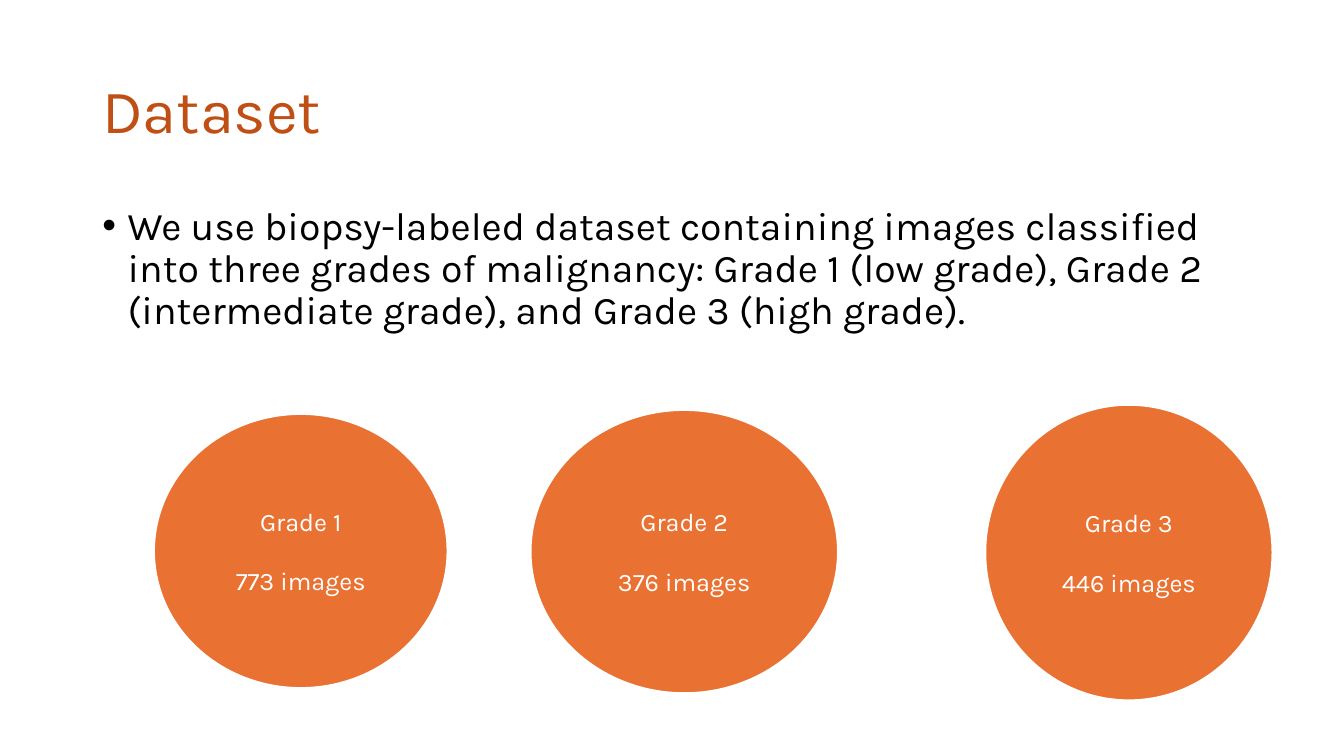
from dataclasses import dataclass

from lxml.etree import SubElement
from pptx import Presentation
from pptx.dml.color import RGBColor
from pptx.enum.shapes import MSO_SHAPE
from pptx.enum.text import MSO_ANCHOR, PP_ALIGN
from pptx.oxml.ns import qn
from pptx.util import Cm, Pt


@dataclass(frozen=True)
class Theme:
    """Colours, font and type sizes of the slide."""

    font: str = "Karla"
    heading: RGBColor = RGBColor(0xC0, 0x4F, 0x15)
    body: RGBColor = RGBColor(0, 0, 0)
    accent: RGBColor = RGBColor(0xE9, 0x71, 0x32)
    light: RGBColor = RGBColor(0xFF, 0xFF, 0xFF)
    heading_size: int = 44
    body_size: int = 28
    label_size: int = 18
    label_gap: int = 21
    outline: int = 2


class SlideBuilder:
    """Draws styled elements on one slide."""

    def __init__(self, slide, theme):
        self.slide = slide
        self.theme = theme

    def style(self, paragraph, size, color):
        """Set the font of a paragraph."""
        paragraph.font.name = self.theme.font
        paragraph.font.size = Pt(size)
        paragraph.font.color.rgb = color

    def text(self, box, wording, size, color, anchor):
        """Add a wrapped text box and return its paragraph."""
        frame = self.slide.shapes.add_textbox(*map(Cm, box)).text_frame
        frame.word_wrap = True
        frame.vertical_anchor = anchor
        paragraph = frame.paragraphs[0]
        paragraph.text = wording
        paragraph.line_spacing = 0.9
        self.style(paragraph, size, color)
        return paragraph

    def heading(self, box, wording):
        """Add the slide heading."""
        self.text(box, wording, self.theme.heading_size, self.theme.heading, MSO_ANCHOR.MIDDLE)

    def bullet(self, box, wording):
        """Add a bulleted statement with a hanging indent."""
        statement = self.text(box, wording, self.theme.body_size, self.theme.body, MSO_ANCHOR.TOP)
        statement.space_before = Pt(10)
        properties = statement._p.get_or_add_pPr()
        indent = Cm(0.635)
        properties.set("marL", str(indent))
        properties.set("indent", str(-indent))
        properties_font = SubElement(properties, qn("a:buFont"))
        properties_font.set("typeface", "Arial")
        SubElement(properties, qn("a:buChar")).set("char", "•")
        properties.append(properties.find(qn("a:defRPr")))

    def grade(self, box, name, count):
        """Add an ellipse with a grade and its image count."""
        ellipse = self.slide.shapes.add_shape(MSO_SHAPE.OVAL, *map(Cm, box))
        ellipse.shadow.inherit = False
        ellipse.fill.solid()
        ellipse.fill.fore_color.rgb = self.theme.accent
        ellipse.line.color.rgb = self.theme.light
        ellipse.line.width = Pt(self.theme.outline)
        frame = ellipse.text_frame
        frame.word_wrap = True
        frame.vertical_anchor = MSO_ANCHOR.MIDDLE
        frame.text = f"{name}\n{count} images"
        for paragraph in frame.paragraphs:
            paragraph.alignment = PP_ALIGN.CENTER
            self.style(paragraph, self.theme.label_size, self.theme.light)
        frame.paragraphs[-1].space_before = Pt(self.theme.label_gap)


def main():
    """Build and save the dataset slide."""
    presentation = Presentation()
    presentation.slide_width = Cm(33.87)
    presentation.slide_height = Cm(19.05)
    slide = presentation.slides.add_slide(presentation.slide_layouts[6])
    builder = SlideBuilder(slide, Theme())

    left, width = 2.33, 29.21
    builder.heading((left, 1.01, width, 3.68), "Dataset")
    builder.bullet(
        (left, 5.07, width, 12.09),
        "We use biopsy-labeled dataset containing images classified into three grades "
        "of malignancy: Grade 1 (low grade), Grade 2 (intermediate grade), "
        "and Grade 3 (high grade).",
    )
    grades = (
        ("Grade 1", 773, (3.87, 10.42, 7.42, 6.93)),
        ("Grade 2", 376, (13.36, 10.32, 7.77, 7.16)),
        ("Grade 3", 446, (24.82, 10.19, 7.26, 7.47)),
    )
    for name, count, box in grades:
        builder.grade(box, name, count)

    presentation.save("out.pptx")


if __name__ == "__main__":
    main()
